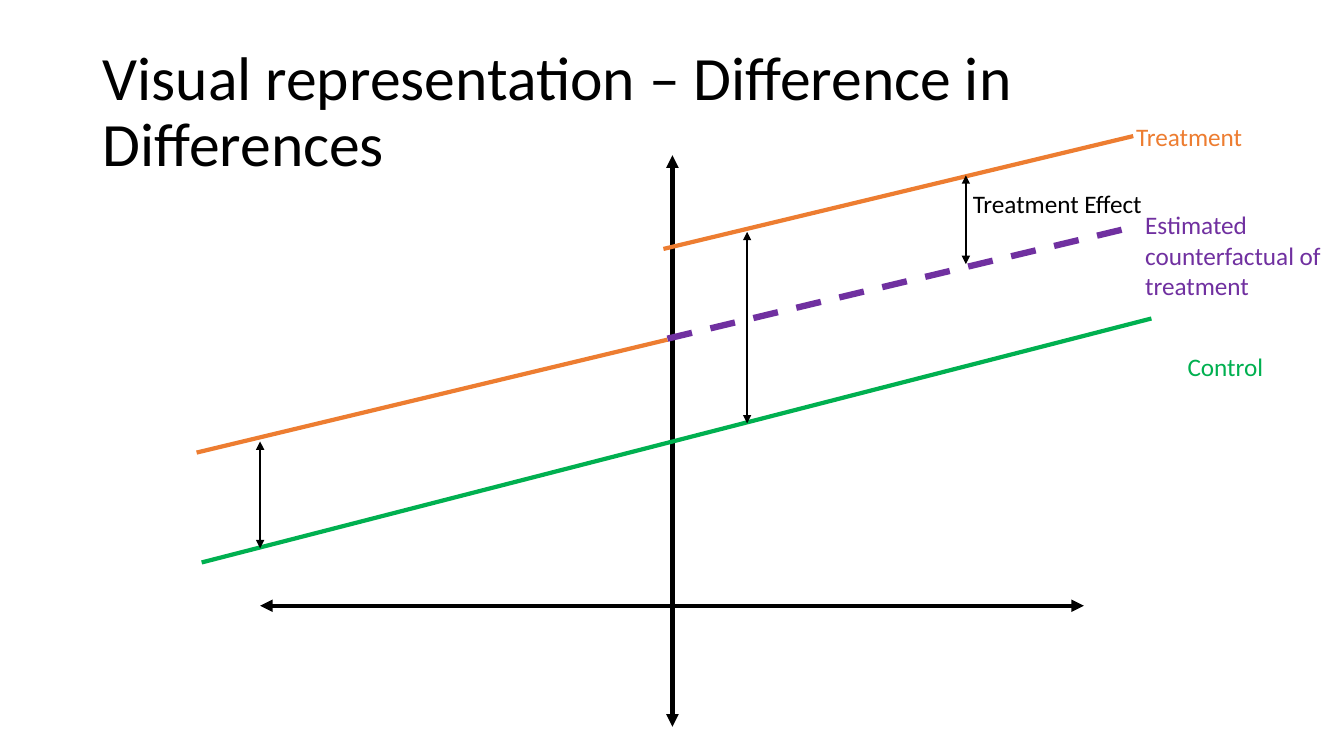
import pptx
import pptx.dml.color
import pptx.enum.dml
import pptx.enum.shapes
import pptx.enum.text
import pptx.oxml.ns
import pptx.util
from lxml import etree

EMU_PER_PX = 9144
BLACK = pptx.dml.color.RGBColor(0x00, 0x00, 0x00)
ORANGE = pptx.dml.color.RGBColor(0xED, 0x7D, 0x31)
GREEN = pptx.dml.color.RGBColor(0x00, 0xB0, 0x50)
PURPLE = pptx.dml.color.RGBColor(0x70, 0x30, 0xA0)


def px(length):
    return pptx.util.Emu(length * EMU_PER_PX)


class DiagramSlide:
    font_name = "Calibri"

    def __init__(self, presentation):
        self.slide = presentation.slides.add_slide(presentation.slide_layouts[6])

    def text(self, content, left, top, width, height, color, size=18, wrap=False):
        shape = self.slide.shapes.add_textbox(px(left), px(top), px(width), px(height))
        frame = shape.text_frame
        frame.word_wrap = wrap
        paragraph = frame.paragraphs[0]
        paragraph.text = content
        paragraph.font.name = self.font_name
        paragraph.font.size = pptx.util.Pt(size)
        paragraph.font.color.rgb = color
        return shape

    def title(self, content, left, top, width, height):
        shape = self.text(content, left, top, width, height, BLACK, 44, True)
        shape.text_frame.vertical_anchor = pptx.enum.text.MSO_ANCHOR.MIDDLE
        shape.text_frame.paragraphs[0].line_spacing = 0.9

    def line(self, start, end, color, weight=3, dash=None):
        connector = self.slide.shapes.add_connector(
            pptx.enum.shapes.MSO_CONNECTOR.STRAIGHT, *map(px, start + end))
        connector.line.color.rgb = color
        connector.line.width = pptx.util.Pt(weight)
        if dash:
            connector.line.dash_style = dash
        properties = connector._element.spPr
        etree.SubElement(properties, pptx.oxml.ns.qn("a:effectLst"))
        return connector

    def double_arrow(self, start, end, weight=1):
        connector = self.line(start, end, BLACK, weight)
        outline = connector.line._get_or_add_ln()
        for tag in ("a:headEnd", "a:tailEnd"):
            etree.SubElement(outline, pptx.oxml.ns.qn(tag), type="triangle")


def main():
    presentation = pptx.Presentation()
    presentation.slide_width = px(1333)
    presentation.slide_height = px(750)
    diagram = DiagramSlide(presentation)

    diagram.title("Visual representation – Difference in Differences", 92, 40, 1150, 145)

    diagram.double_arrow((258, 601), (1075, 601), 3)
    diagram.double_arrow((667, 721), (667, 154), 3)

    diagram.line((195, 449), (662, 337), ORANGE)
    diagram.line((658, 247), (1124, 135), ORANGE)
    diagram.line((200, 558), (1142, 316), GREEN)

    diagram.text("Control", 1168, 344, 96, 40, GREEN)
    diagram.text("Treatment", 1117, 115, 127, 40, ORANGE)

    diagram.double_arrow((258, 438), (258, 544))
    diagram.line((662, 336), (1129, 224), PURPLE, 4.5, pptx.enum.dml.MSO_LINE.DASH)
    diagram.double_arrow((958, 174), (958, 262))

    diagram.text("Treatment Effect", 955, 182, 196, 40, BLACK)
    diagram.text("Estimated counterfactual of treatment", 1126, 203, 196, 102, PURPLE, wrap=True)

    diagram.double_arrow((741, 230), (741, 420))

    presentation.save("out.pptx")


if __name__ == "__main__":
    main()
